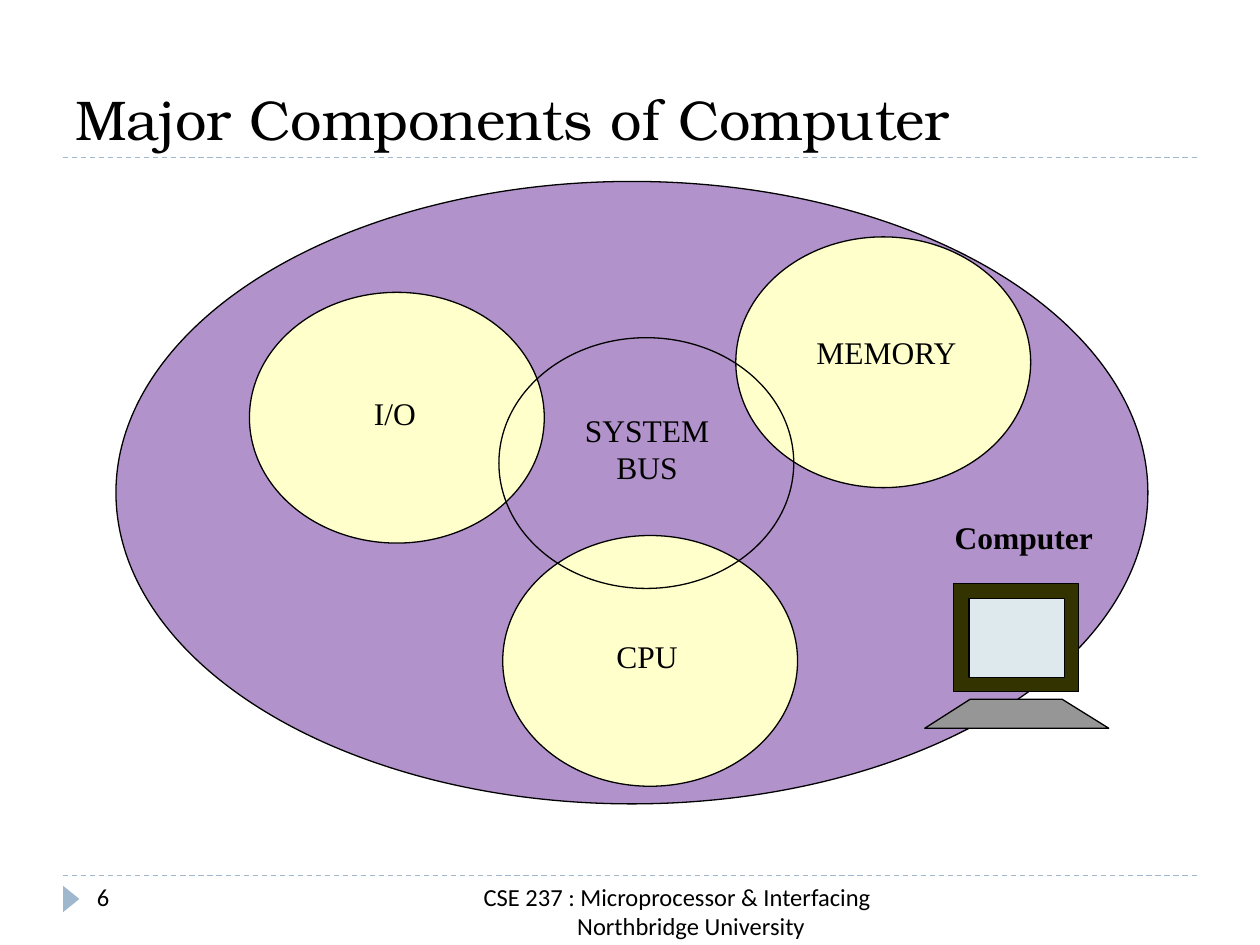
from lxml.etree import SubElement
from pptx import Presentation
from pptx.dml.color import RGBColor
from pptx.enum.dml import MSO_LINE
from pptx.enum.shapes import MSO_CONNECTOR, MSO_SHAPE
from pptx.enum.text import MSO_ANCHOR, PP_ALIGN
from pptx.oxml.ns import qn
from pptx.util import Pt

PX = 9144  # EMU in one px, 100 px to the inch
BLACK = RGBColor(0x00, 0x00, 0x00)
BLUE = RGBColor(0x9F, 0xB8, 0xCD)
PURPLE = RGBColor(0xB2, 0x92, 0xCA)
CREAM = RGBColor(0xFF, 0xFF, 0xCC)
OLIVE = RGBColor(0x33, 0x33, 0x00)
GREY = RGBColor(0x96, 0x96, 0x96)
GLASS = RGBColor(0xDD, 0xE9, 0xEC)

HEAD = {"name": "TeX Gyre Bonum", "size": Pt(32)}
LABEL = {"name": "Times New Roman", "size": Pt(18)}
FOOT = {"name": "Calibri", "size": Pt(14)}


def emu(*sizes):
    return [size * PX for size in sizes]


def paint(shape, fill, line=BLACK):
    """Set fill and outline; None leaves either one out."""
    shape.shadow.inherit = False
    for part, tone in ((shape.fill, fill), (shape.line.fill, line)):
        if tone is None:
            part.background()
        else:
            part.solid()
            part.fore_color.rgb = tone
    if line is not None:
        shape.line.width = Pt(0.75)


def add_form(shapes, kind, box, fill, line=BLACK):
    form = shapes.add_shape(kind, *emu(*box))
    paint(form, fill, line)
    return form


def add_text(shapes, box, lines, font, align=PP_ALIGN.LEFT, anchor=MSO_ANCHOR.TOP):
    area = shapes.add_textbox(*emu(*box))
    frame = area.text_frame
    frame.word_wrap = True
    frame.vertical_anchor = anchor
    frame.text = "\n".join(lines)
    for para in frame.paragraphs:
        para.alignment = align
        para.font.color.rgb = BLACK
        for key, value in font.items():
            setattr(para.font, key, value)
    return area


def add_rule(shapes, left, top, width):
    rule = shapes.add_connector(
        MSO_CONNECTOR.STRAIGHT, *emu(left, top, left + width, top))
    rule.line.color.rgb = BLUE
    rule.line.width = Pt(0.75)
    rule.line.dash_style = MSO_LINE.DASH
    SubElement(rule._element.spPr, qn("a:effectLst"))


def draw_head(shapes, left, top, width, height):
    add_rule(shapes, left, top + height, width)
    add_text(shapes, (left, top, width, height), ["Major Components of Computer"],
             HEAD, anchor=MSO_ANCHOR.BOTTOM)


def draw_foot(shapes, left, top, width, height):
    add_rule(shapes, left, top, width)
    mark = add_form(shapes, MSO_SHAPE.ISOSCELES_TRIANGLE,
                    (left - 4, top + 12, 21, 13), BLUE, None)
    mark.rotation = 90
    add_text(shapes, (left + 17, top, 217, height), ["6"], FOOT)
    note = add_text(shapes, (left + 150, top, 675, height),
                    ["CSE 237 : Microprocessor & Interfacing", "Northbridge University"],
                    FOOT, PP_ALIGN.CENTER)
    note.text_frame.paragraphs[1]._p.get_or_add_pPr().set("marL", str(22 * PX))


def draw_system(shapes, left, top, width, height):
    """Draw the outer ellipse with the computer icon at its lower right."""
    group = shapes.add_group_shape().shapes
    add_form(group, MSO_SHAPE.OVAL, (left, top, width, height), PURPLE)
    add_text(group, (left + 630, top + 262, 181, 40), ["Computer"],
             LABEL | {"bold": True}, PP_ALIGN.CENTER)
    draw_icon(group, left + 642, top + 319, 146, 115)


def draw_icon(shapes, left, top, width, height):
    add_form(shapes, MSO_SHAPE.RECTANGLE, (left + 23, top, 99, 86), OLIVE)
    base, deck = top + height, top + height - 23
    pen = shapes.build_freeform(left, base, scale=PX)
    pen.add_line_segments([(left + 36, deck), (left + width - 37, deck),
                           (left + width, base)])
    paint(pen.convert_to_shape(), GREY)
    add_form(shapes, MSO_SHAPE.RECTANGLE, (left + 35, top + 12, 76, 63), GLASS)


def draw_part(shapes, left, top, name, inset, fill):
    """Draw one component ellipse; inset is its label box from the corner."""
    group = shapes.add_group_shape().shapes
    add_form(group, MSO_SHAPE.OVAL, (left, top, 234, 199), fill)
    across, down, width, height = inset
    label = add_text(group, (left + across, top + down, width, height),
                     [name], LABEL, PP_ALIGN.CENTER)
    paint(label, fill, None)


PARTS = [
    (399, 425, "CPU", (36, 76, 157, 40), CREAM),
    (584, 188, "MEMORY", (30, 71, 179, 40), CREAM),
    (198, 232, "I/O", (37, 76, 157, 40), CREAM),
    (396, 268, "SYSTEM BUS", (39, 53, 157, 71), None),
]


def main():
    deck = Presentation()
    deck.slide_width, deck.slide_height = emu(1000, 750)
    shapes = deck.slides.add_slide(deck.slide_layouts[6]).shapes
    draw_head(shapes, 50, 17, 900, 108)
    draw_system(shapes, 92, 144, 819, 494)
    for part in PARTS:
        draw_part(shapes, *part)
    draw_foot(shapes, 50, 695, 900, 40)
    deck.save("out.pptx")


if __name__ == "__main__":
    main()
